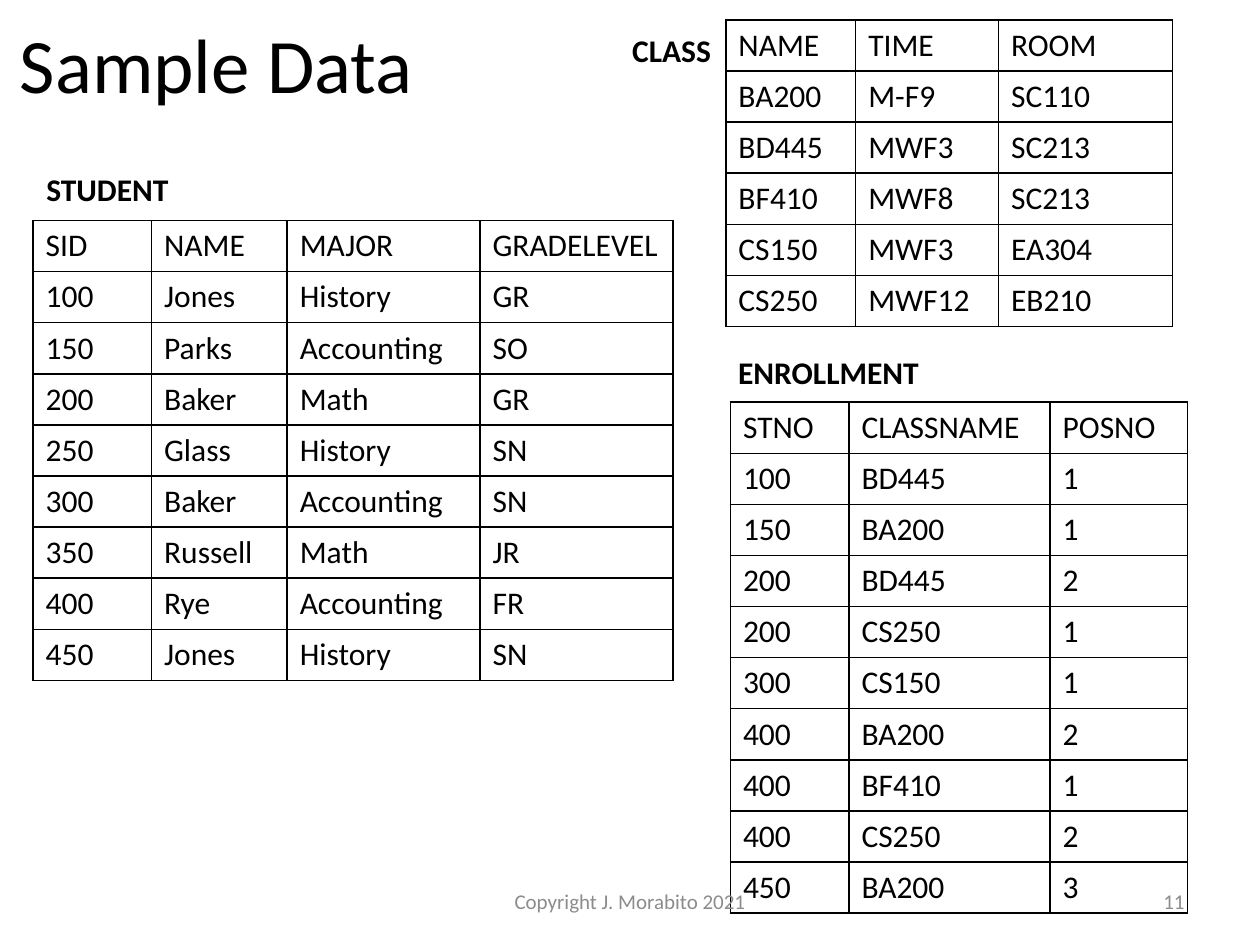
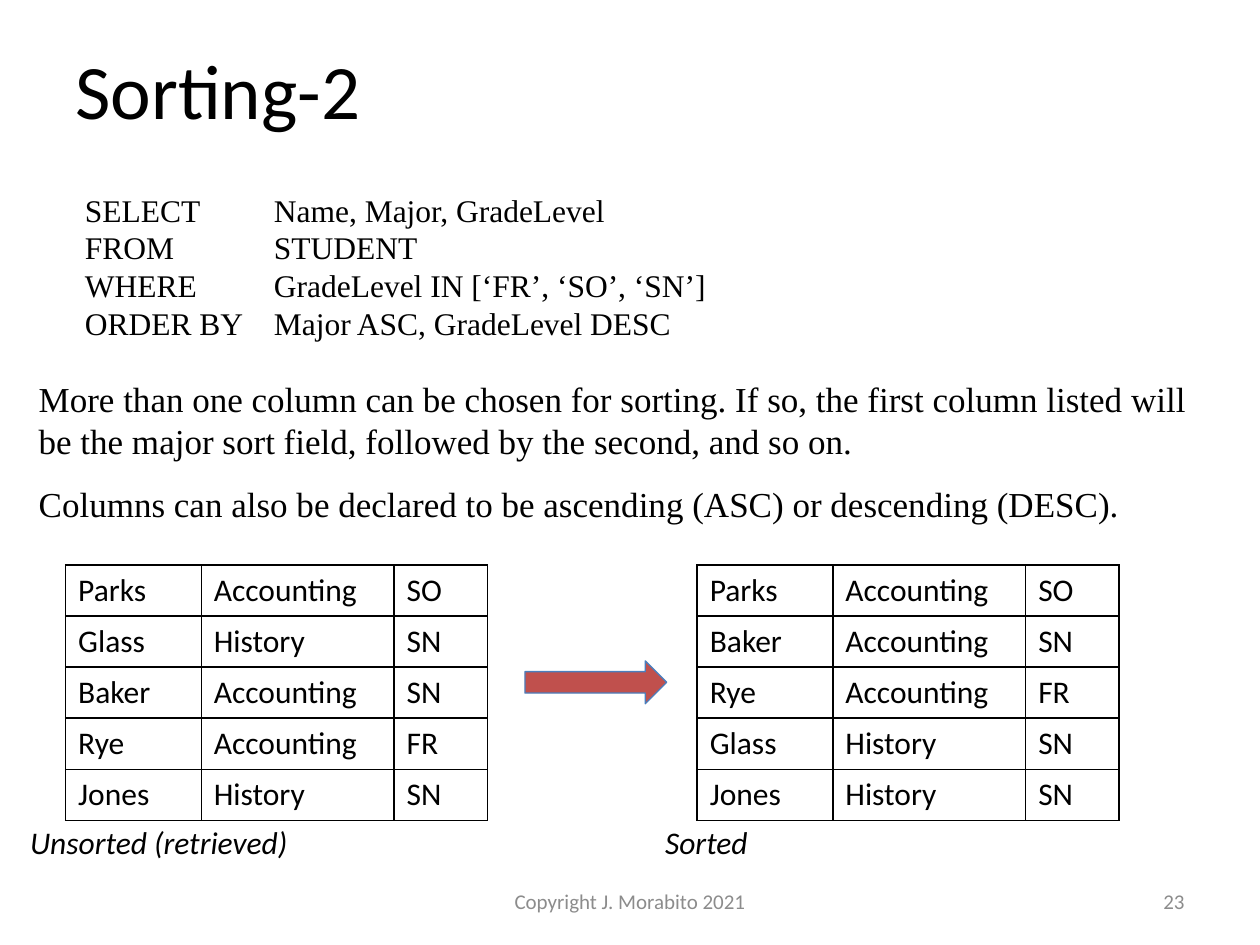
from dataclasses import dataclass

from pptx import Presentation
from pptx.dml.color import RGBColor
from pptx.enum.shapes import MSO_SHAPE
from pptx.enum.text import MSO_ANCHOR, MSO_AUTO_SIZE, PP_ALIGN
from pptx.oxml import parse_xml
from pptx.oxml.ns import nsdecls
from pptx.util import Pt

LEFT, CENTER, RIGHT = PP_ALIGN.LEFT, PP_ALIGN.CENTER, PP_ALIGN.RIGHT
TOP, MIDDLE = MSO_ANCHOR.TOP, MSO_ANCHOR.MIDDLE
FIT_SHAPE, NO_FIT = MSO_AUTO_SIZE.SHAPE_TO_FIT_TEXT, MSO_AUTO_SIZE.NONE
RIGHT_ARROW = MSO_SHAPE.RIGHT_ARROW


@dataclass(frozen=True)
class Theme:
    sans: str = "Calibri"
    serif: str = "Times New Roman"
    ink: str = "000000"
    muted: str = "8C8C8C"
    arrow: str = "C0504D"
    arrow_line: str = "4B7EBC"
    title: int = 44
    prose: int = 20
    body: int = 18
    footer: int = 12


T = Theme()
ROW_H = 29.2
LABEL_H = 29
COPYRIGHT = "Copyright J. Morabito 2021"

STUDENT = [
    ("SID", "NAME", "MAJOR", "GRADELEVEL"),
    ("100", "Jones", "History", "GR"),
    ("150", "Parks", "Accounting", "SO"),
    ("200", "Baker", "Math", "GR"),
    ("250", "Glass", "History", "SN"),
    ("300", "Baker", "Accounting", "SN"),
    ("350", "Russell", "Math", "JR"),
    ("400", "Rye", "Accounting", "FR"),
    ("450", "Jones", "History", "SN"),
]
CLASS = [
    ("NAME", "TIME", "ROOM"),
    ("BA200", "M-F9", "SC110"),
    ("BD445", "MWF3", "SC213"),
    ("BF410", "MWF8", "SC213"),
    ("CS150", "MWF3", "EA304"),
    ("CS250", "MWF12", "EB210"),
]
ENROLLMENT = [
    ("STNO", "CLASSNAME", "POSNO"),
    ("100", "BD445", "1"),
    ("150", "BA200", "1"),
    ("200", "BD445", "2"),
    ("200", "CS250", "1"),
    ("300", "CS150", "1"),
    ("400", "BA200", "2"),
    ("400", "BF410", "1"),
    ("400", "CS250", "2"),
    ("450", "BA200", "3"),
]
# label, label box (left, top, width), rows, table left and top, column widths
SAMPLE_TABLES = [
    ("STUDENT", (19.4, 93.6, 85), STUDENT, (18.9, 126), (67.7, 77.5, 110.2, 110.2)),
    ("CLASS", (354.2, 14.4, 59.8), CLASS, (414.8, 11.4), (74.2, 81.6, 99.4)),
    ("ENROLLMENT", (414.7, 198, 118.8), ENROLLMENT, (417.4, 229.8), (67.7, 115, 78.4)),
]

QUERY = [
    "SELECT\tName, Major, GradeLevel",
    "FROM\tSTUDENT",
    "WHERE\tGradeLevel IN [‘FR’, ‘SO’, ‘SN’]",
    "ORDER BY\tMajor ASC, GradeLevel DESC",
]
SORTING_NOTES = [
    "More than one column can be chosen for sorting. If so, the first column listed "
    "will be the major sort field, followed by the second, and so on.",
    "Columns can also be declared to be ascending (ASC) or descending (DESC).",
]
RESULT_COLS = (77.5, 110.2, 53.3)
RESULT_TOP = 322.8

retrieved = [row[1:] for row in STUDENT if row[3] in ("FR", "SO", "SN")]
by_grade = sorted(retrieved, key=lambda row: row[2], reverse=True)
in_order = sorted(by_grade, key=lambda row: row[1])
# caption, caption left and width, rows, table left
RESULTS = [
    ("Unsorted (retrieved)", 10.1, 167.8, retrieved, 37.5),
    ("Sorted", 373, 67, in_order, 398.4),
]


def write(tf, text, size=T.body, font=T.sans, color=T.ink, bold=False,
          italic=False, align=LEFT, gap=0, tab=None):
    """Fill a text frame with one paragraph per string; gap separates them."""
    lines = [text] if isinstance(text, str) else text
    for i, line in enumerate(lines):
        p = tf.paragraphs[0] if i == 0 else tf.add_paragraph()
        p.alignment = align
        if i and gap:
            p.space_before = Pt(gap)
        if tab:
            p._p.get_or_add_pPr().append(parse_xml(
                f'<a:tabLst {nsdecls("a")}><a:tab pos="{Pt(tab)}" algn="l"/></a:tabLst>'))
        r = p.add_run()
        r.text = line
        r.font.name, r.font.size = font, Pt(size)
        r.font.bold, r.font.italic = bold, italic
        r.font.color.rgb = RGBColor.from_string(color)


def add_text(s, box, text, wrap=True, anchor=TOP, fit=NO_FIT, **fmt):
    tf = s.shapes.add_textbox(*map(Pt, box)).text_frame
    tf.word_wrap, tf.vertical_anchor, tf.auto_size = wrap, anchor, fit
    write(tf, text, **fmt)


def add_label(s, box, text, **fmt):
    add_text(s, box, text, wrap=False, fit=FIT_SHAPE, **fmt)


def add_borders(cell):
    tcPr = cell._tc.get_or_add_tcPr()
    for i, side in enumerate(("lnL", "lnR", "lnT", "lnB")):
        tcPr.insert(i, parse_xml(
            f'<a:{side} {nsdecls("a")} w="{Pt(1)}"><a:solidFill>'
            f'<a:srgbClr val="{T.ink}"/></a:solidFill></a:{side}>'))


def add_grid(s, left, top, rows, widths):
    table = s.shapes.add_table(
        len(rows), len(widths), Pt(left), Pt(top),
        Pt(sum(widths)), Pt(ROW_H * len(rows))).table
    table.first_row = table.horz_banding = False
    for col, width in zip(table.columns, widths):
        col.width = Pt(width)
    for i, row in enumerate(rows):
        table.rows[i].height = Pt(ROW_H)
        for j, value in enumerate(row):
            cell = table.cell(i, j)
            cell.fill.background()
            add_borders(cell)
            write(cell.text_frame, value)


def add_slide(prs, title, title_box):
    s = prs.slides.add_slide(prs.slide_layouts[6])
    add_text(s, title_box, title, anchor=MIDDLE, size=T.title)
    return s


def add_footer(s, number):
    for box, text, align in [((246, 500.5, 228), COPYRIGHT, CENTER),
                             ((516, 500.5, 168), number, RIGHT)]:
        add_text(s, (*box, 28.75), text, anchor=MIDDLE, align=align,
                 size=T.footer, color=T.muted)


def build_sample_data(prs):
    s = add_slide(prs, "Sample Data", (4.3, 5.8, 648, 60.5))
    for label, label_box, rows, (left, top), widths in SAMPLE_TABLES:
        add_grid(s, left, top, rows, widths)
        add_label(s, (*label_box, LABEL_H), label, bold=True)
    add_footer(s, "11")


def build_sorting(prs):
    s = add_slide(prs, "Sorting-2", (36, 11.5, 648, 78))
    add_label(s, (41.5, 105.4, 377.3, 94.3), QUERY, font=T.serif, tab=108)
    add_text(s, (15, 212.4, 687.6, 92.2), SORTING_NOTES, fit=FIT_SHAPE,
             size=T.prose, font=T.serif, gap=12)
    for caption, caption_left, caption_w, rows, left in RESULTS:
        add_grid(s, left, RESULT_TOP, rows, RESULT_COLS)
        add_label(s, (caption_left, 466.6, caption_w, LABEL_H), caption, italic=True)
    arrow = s.shapes.add_shape(RIGHT_ARROW, Pt(300), Pt(377.7), Pt(81), Pt(24.5))
    arrow.shadow.inherit = False
    arrow.fill.solid()
    arrow.fill.fore_color.rgb = RGBColor.from_string(T.arrow)
    arrow.line.color.rgb = RGBColor.from_string(T.arrow_line)
    arrow.line.width = Pt(0.75)
    add_footer(s, "23")


def main():
    prs = Presentation()
    prs.slide_width, prs.slide_height = Pt(720), Pt(540)
    build_sample_data(prs)
    build_sorting(prs)
    prs.save("out.pptx")


if __name__ == "__main__":
    main()
